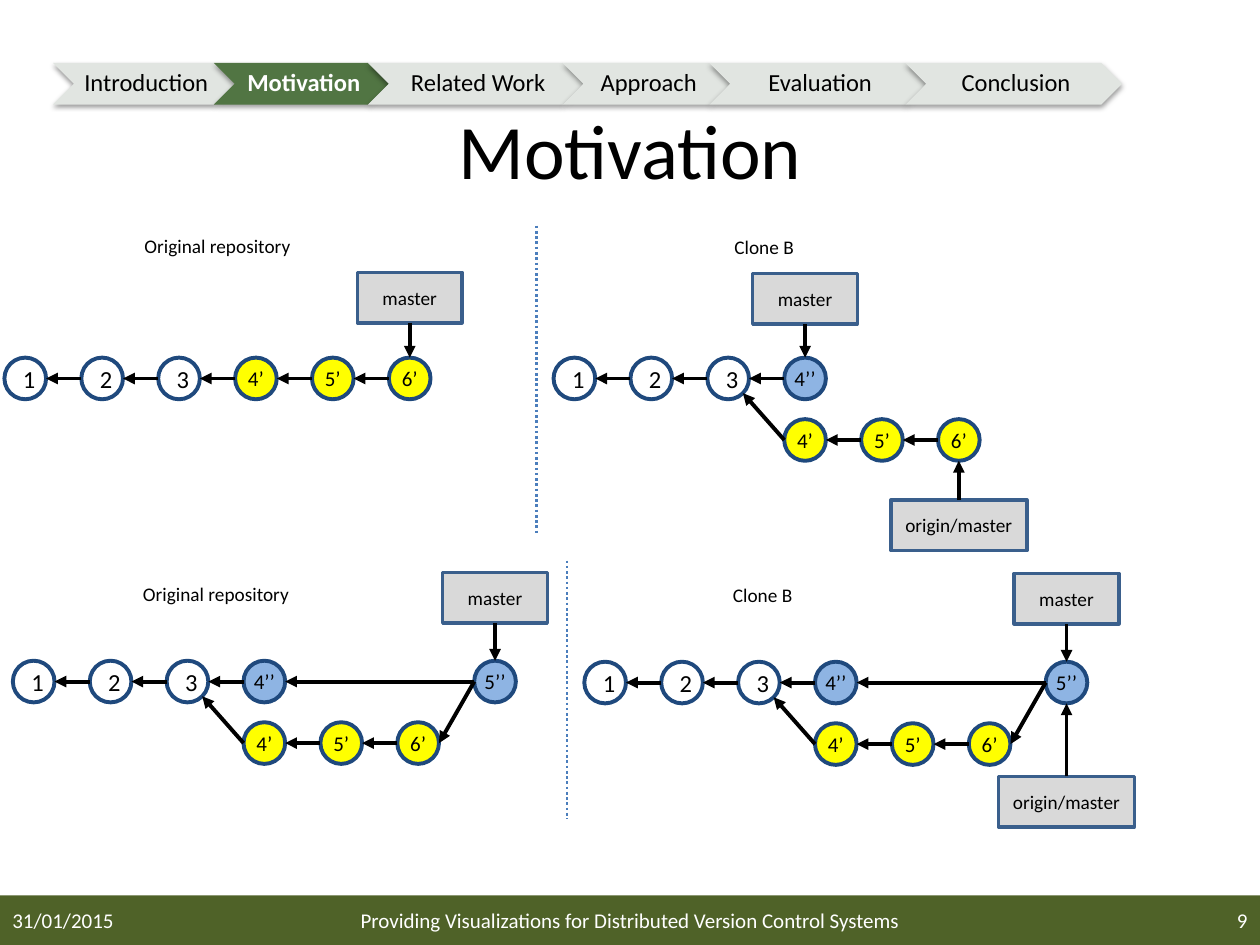
from lxml import etree
from pptx import Presentation
from pptx.dml.color import RGBColor
from pptx.enum import dml, shapes, text
from pptx.oxml.ns import qn
from pptx.util import Cm, Pt

FONT = "Calibri"
BLACK = RGBColor(0x00, 0x00, 0x00)
WHITE = RGBColor(0xFF, 0xFF, 0xFF)
OLIVE = RGBColor(0x4F, 0x62, 0x28)
GREEN = RGBColor(0x51, 0x75, 0x43)
PALE = RGBColor(0xE1, 0xE5, 0xE1)
YELLOW = RGBColor(0xFF, 0xFF, 0x00)
BLUE = RGBColor(0x8E, 0xB4, 0xE3)
NAVY = RGBColor(0x1F, 0x49, 0x7D)
GRAY = RGBColor(0xD9, 0xD9, 0xD9)
STEEL = RGBColor(0x3A, 0x5F, 0x8C)
DIVIDER = RGBColor(0x4B, 0x7E, 0xBC)

DIAMETER = 0.84
COLUMN_STEP = 1.55
ROW_STEP = 1.24
REF_HEIGHT = 1.02
REF_WIDTHS = {"master": 2.11, "origin/master": 2.74}
CENTER = text.PP_ALIGN.CENTER

BASE = {"1": (0, 0), "2": (1, 0), "3": (2, 0)}
REMOTE = {"4’": (3, 1), "5’": (4, 1), "6’": (5, 1)}
LINEAR = BASE | {"4’": (3, 0), "5’": (4, 0), "6’": (5, 0)}
FORKED = BASE | {"4’’": (3, 0)} | REMOTE
MERGED = FORKED | {"5’’": (6, 0)}
LINEAR_LINKS = [("2", "1"), ("3", "2"), ("4’", "3"), ("5’", "4’"), ("6’", "5’")]
FORKED_LINKS = LINEAR_LINKS + [("4’’", "3")]
MERGED_LINKS = FORKED_LINKS + [("5’’", "4’’"), ("5’’", "6’")]


def write(shape, words, size, color=BLACK, align=CENTER, bold=False):
    frame = shape.text_frame
    frame.word_wrap = True
    frame.vertical_anchor = text.MSO_ANCHOR.MIDDLE
    para = frame.paragraphs[0]
    para.text = words
    para.alignment = align
    para.font.name = FONT
    para.font.size = Pt(size)
    para.font.bold = bold
    para.font.color.rgb = color
    return frame


def add_label(page, left, top, width, height, words, size, color=BLACK, align=CENTER):
    box = page.shapes.add_textbox(Cm(left), Cm(top), Cm(width), Cm(height))
    write(box, words, size, color, align)


def add_shape(page, kind, left, top, width, height, fill=None, line=None, weight=0):
    shape = page.shapes.add_shape(kind, Cm(left), Cm(top), Cm(width), Cm(height))
    shape.shadow.inherit = False
    if fill is None:
        shape.fill.background()
    else:
        shape.fill.solid()
        shape.fill.fore_color.rgb = fill
    if line is None:
        shape.line.fill.background()
    else:
        shape.line.color.rgb = line
        shape.line.width = Pt(weight)
    return shape


def add_line(page, start, end, color, weight):
    line = page.shapes.add_connector(
        shapes.MSO_CONNECTOR.STRAIGHT, *(Cm(value) for value in start + end))
    line.line.color.rgb = color
    line.line.width = Pt(weight)
    etree.SubElement(line._element.spPr, qn("a:effectLst"))
    return line


def add_arrow(page, start, end):
    arrow = add_line(page, start, end, BLACK, 2.25)
    etree.SubElement(arrow.line._get_or_add_ln(), qn("a:tailEnd"), type="triangle")


def add_divider(page, left, top, bottom):
    line = add_line(page, (left, top), (left, bottom), DIVIDER, 1.5)
    line.line.dash_style = dml.MSO_LINE.ROUND_DOT


def add_soft_shadow(shape):
    effects = shape._element.spPr.find(qn("a:effectLst"))
    shadow = etree.SubElement(
        effects, qn("a:outerShdw"), blurRad=str(Pt(3.1)), dist=str(Pt(1.6)),
        dir="5400000", rotWithShape="0")
    color = etree.SubElement(shadow, qn("a:srgbClr"), val=str(BLACK))
    etree.SubElement(color, qn("a:alpha"), val="38000")


def add_navigation(page, left, top, height, steps, current):
    for words, width in steps:
        active = words == current
        chevron = add_shape(page, shapes.MSO_SHAPE.CHEVRON, left, top, width, height,
                            GREEN if active else PALE)
        add_soft_shadow(chevron)
        frame = write(chevron, words, 14, WHITE if active else BLACK, bold=active)
        frame.margin_left = Cm(0.15)
        frame.margin_right = frame.margin_top = frame.margin_bottom = Cm(0.05)
        frame.paragraphs[0].line_spacing = 0.9
        left += width - height / 2


def add_commit(page, left, top, name):
    rebased = name.endswith("’")
    fill = BLUE if name.endswith("’’") else YELLOW if rebased else None
    circle = add_shape(page, shapes.MSO_SHAPE.OVAL, left, top, DIAMETER, DIAMETER,
                       fill, NAVY, 2.25)
    frame = write(circle, name, 12 if rebased else 14)
    if rebased:
        frame.margin_left = frame.margin_right = 0


def add_ref(page, center, commit_top, top, name):
    width = REF_WIDTHS[name]
    box = add_shape(page, shapes.MSO_SHAPE.RECTANGLE, center - width / 2, top,
                    width, REF_HEIGHT, GRAY, STEEL, 2)
    write(box, name, 11)
    if top < commit_top:
        add_arrow(page, (center, top + REF_HEIGHT), (center, commit_top))
    else:
        add_arrow(page, (center, top), (center, commit_top + DIAMETER))


def add_history(page, left, top, title, title_offset, commits, links, refs):
    radius = DIAMETER / 2
    diagonal = radius * 0.5 ** 0.5
    add_label(page, left + title_offset[0], top + title_offset[1], 3.63, 1.02, title, 11)
    centers = {name: (left + radius + column * COLUMN_STEP, top + radius + row * ROW_STEP)
               for name, (column, row) in commits.items()}
    for name, (x, y) in centers.items():
        add_commit(page, x - radius, y - radius, name)
    for child, parent in links:
        child_x, child_y = centers[child]
        x, y = centers[parent]
        end = (x + diagonal, y + diagonal) if child_y > y else (x + radius, y)
        add_arrow(page, (child_x - radius, child_y), end)
    for name, commit, offset in refs:
        x, y = centers[commit]
        add_ref(page, x, y - radius, top + offset, name)


def add_footer(page, left, top, width, height, date, words, number):
    add_shape(page, shapes.MSO_SHAPE.RECTANGLE, left, top, width, height, OLIVE)
    side = 5.92
    middle = 13.13
    add_label(page, left, top, side, height, date, 12, WHITE, text.PP_ALIGN.LEFT)
    add_label(page, left + (width - middle) / 2, top, middle, height, words, 12, WHITE)
    add_label(page, left + width - side, top, side, height, number, 12, WHITE,
              text.PP_ALIGN.RIGHT)


def main():
    deck = Presentation()
    deck.slide_width, deck.slide_height = Cm(25.4), Cm(19.05)
    page = deck.slides.add_slide(deck.slide_layouts[6])
    add_footer(page, 0, 18.05, 25.4, 1, "31/01/2015",
               "Providing Visualizations for Distributed Version Control Systems", "9")
    add_label(page, 0.4, 1.4, 24.6, 3.18, "Motivation", 44)
    steps = [("Introduction", 3.66), ("Motivation", 3.53), ("Related Work", 4.34),
             ("Approach", 3.38), ("Evaluation", 4.37), ("Conclusion", 4.37)]
    add_navigation(page, 1.07, 1.27, 0.84, steps, "Motivation")
    add_history(page, 0.09, 7.21, "Original repository", (2.48, -2.76), LINEAR,
                LINEAR_LINKS, [("master", "6’", -1.72)])
    add_history(page, 11.16, 7.21, "Clone B", (2.43, -2.74), FORKED, FORKED_LINKS,
                [("master", "4’’", -1.7), ("origin/master", "6’", 2.87)])
    add_history(page, 0.26, 13.32, "Original repository", (2.28, -1.86), MERGED,
                MERGED_LINKS, [("master", "5’’", -1.78)])
    add_history(page, 11.78, 13.34, "Clone B", (1.78, -1.86), MERGED, MERGED_LINKS,
                [("master", "5’’", -1.78), ("origin/master", "5’’", 2.31)])
    add_divider(page, 10.82, 4.55, 10.74)
    add_divider(page, 11.43, 11.3, 16.51)
    deck.save("out.pptx")


if __name__ == "__main__":
    main()
